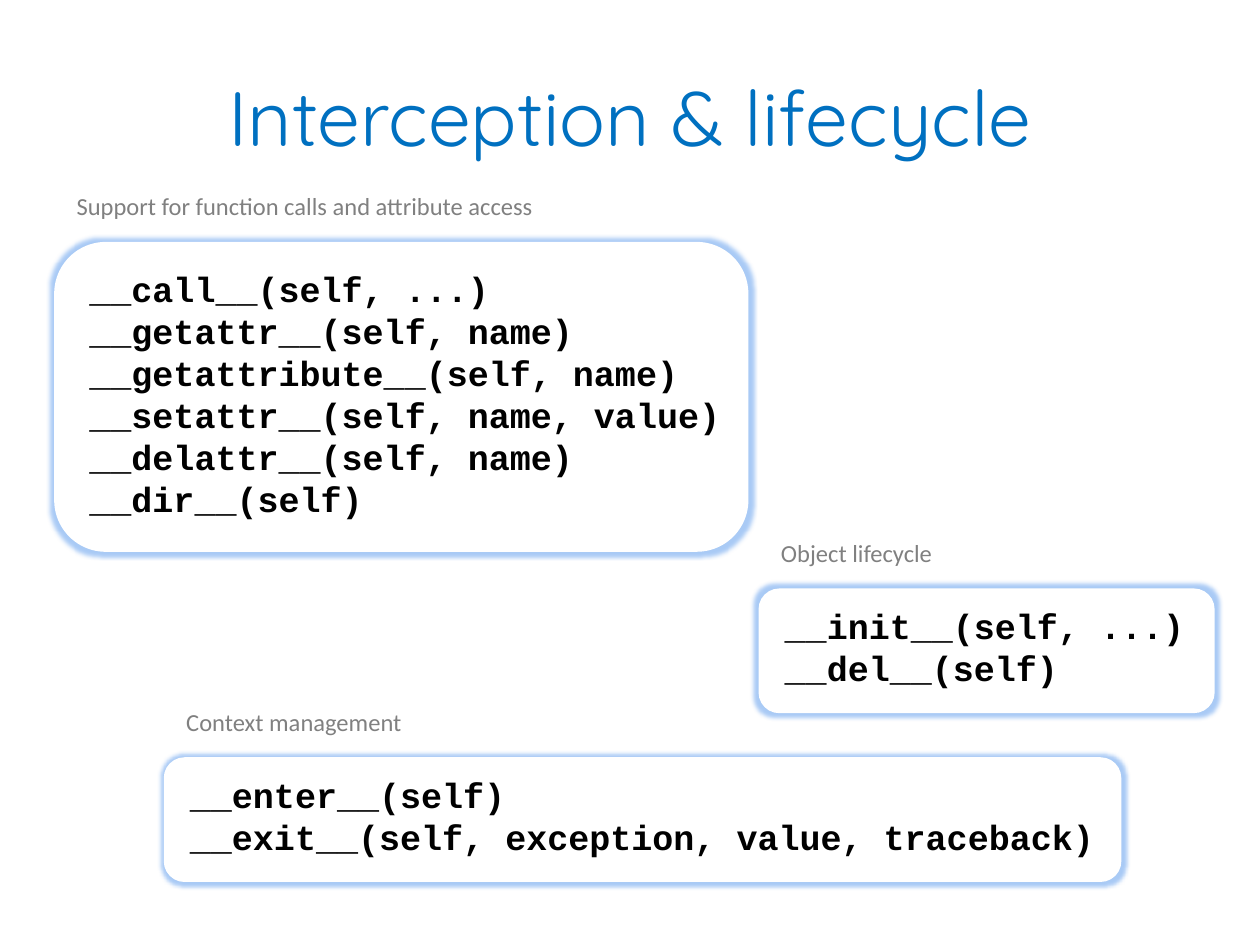
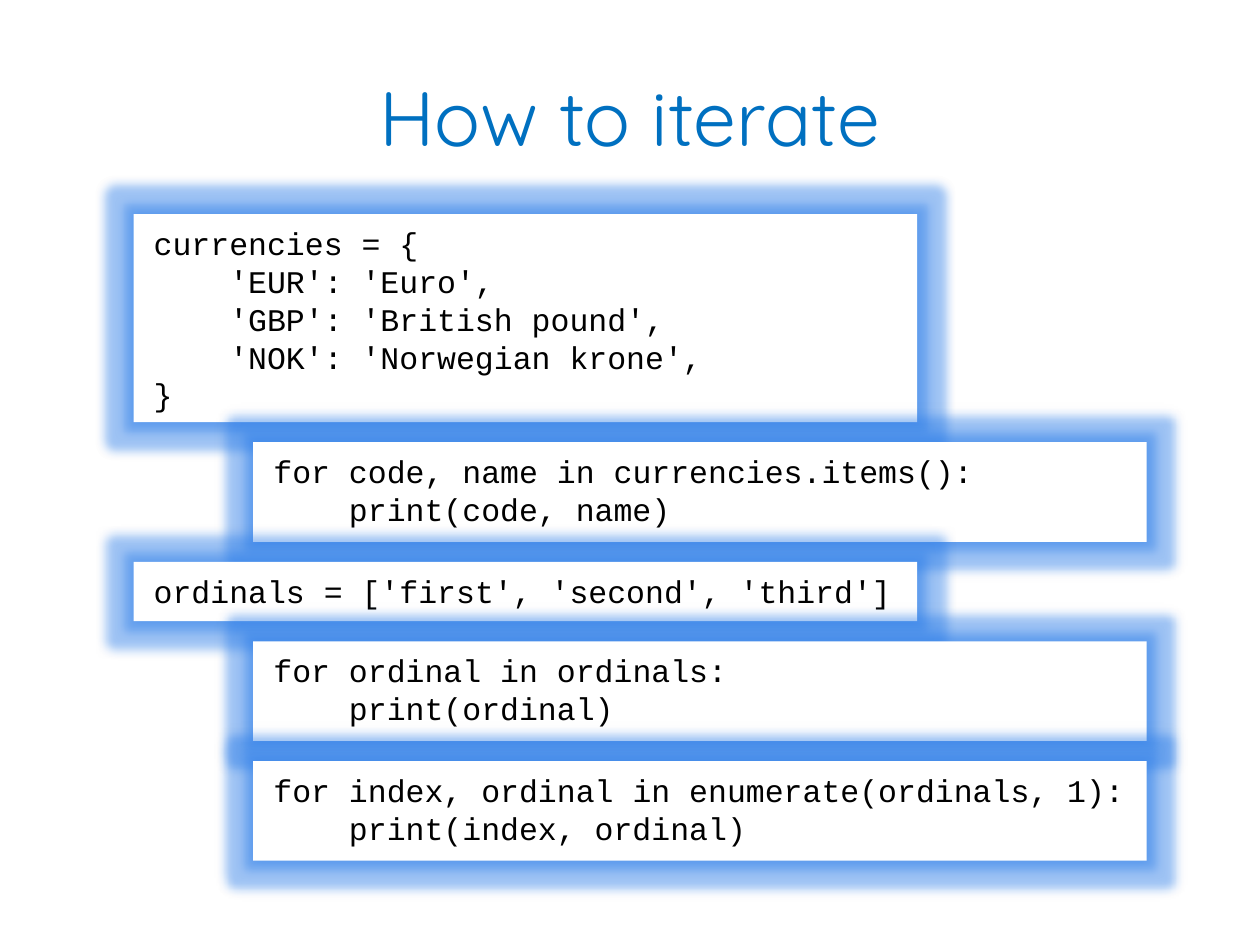
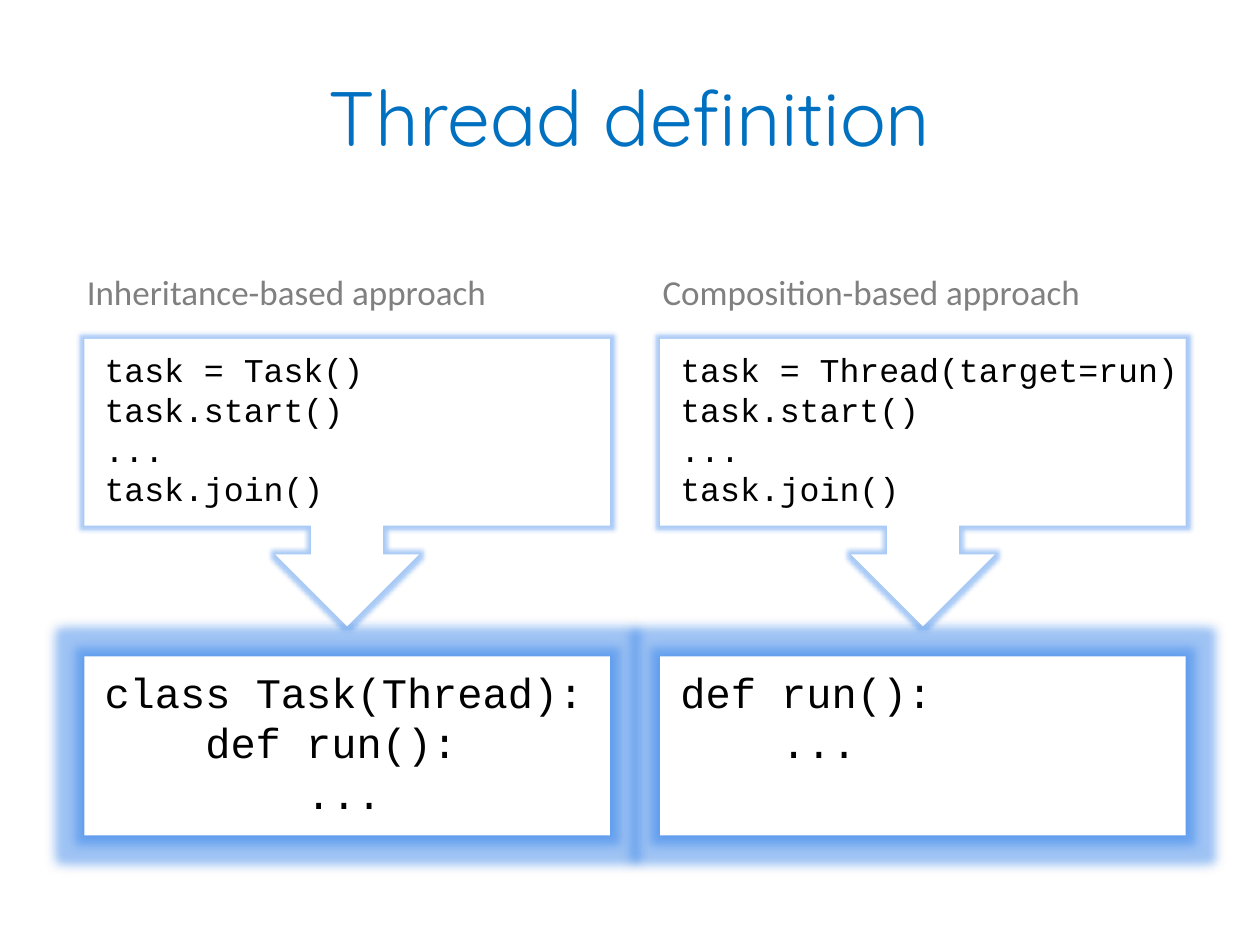
from dataclasses import dataclass

from lxml import etree
from pptx import Presentation
from pptx.dml.color import RGBColor
from pptx.enum.shapes import MSO_SHAPE
from pptx.enum.text import MSO_ANCHOR, MSO_AUTO_SIZE, PP_ALIGN
from pptx.oxml.ns import qn
from pptx.util import Inches, Pt

RECT = MSO_SHAPE.RECTANGLE
ROUND = MSO_SHAPE.ROUNDED_RECTANGLE
CALLOUT = MSO_SHAPE.DOWN_ARROW_CALLOUT
LEFT, CENTER = PP_ALIGN.LEFT, PP_ALIGN.CENTER
TOP, MIDDLE = MSO_ANCHOR.TOP, MSO_ANCHOR.MIDDLE
GROW = MSO_AUTO_SIZE.SHAPE_TO_FIT_TEXT
TITLE_ONLY = 5


@dataclass(frozen=True)
class Theme:
    title_font: str = "Quicksand"
    label_font: str = "Calibri"
    code_font: str = "Courier New"
    title: str = "0070C0"
    label: str = "808080"
    code: str = "000000"
    paper: str = "FFFFFF"
    glow: str = "2A7CE8"
    title_size: int = 44
    note_size: int = 14
    head_size: int = 20
    method_size: int = 20
    loop_size: int = 18
    call_size: int = 19
    def_size: int = 24
    thin: int = 5
    wide: int = 11


THEME = Theme()
CHAR = 0.6  # width of a code character, in ems


def write(para, text, font, size, color, bold=False):
    run = para.add_run()
    run.text = text
    run.font.name = font
    run.font.size = Pt(size)
    run.font.bold = bold
    run.font.color.rgb = RGBColor.from_string(color)


def add_glow(shape, points, deep):
    """Surround a shape with a glow; a deep one is darker at the edge."""
    effects = etree.SubElement(shape._element.spPr, qn("a:effectLst"))
    parts = [etree.SubElement(effects, qn("a:glow"), rad=str(Pt(points)))]
    if deep:
        parts.append(etree.SubElement(
            effects, qn("a:outerShdw"), blurRad=str(Pt(THEME.thin)), dist="0"))
    for part in parts:
        color = etree.SubElement(part, qn("a:srgbClr"), val=THEME.glow)
        etree.SubElement(color, qn("a:alpha"), val="40000")


def add_code(slide, box, lines, size, kind=RECT, bold=False, deep=False, right=0.16):
    """Add a glowing panel of code, turning leading spaces into indents."""
    shape = slide.shapes.add_shape(kind, *map(Inches, box))
    shape.fill.solid()
    shape.fill.fore_color.rgb = RGBColor.from_string(THEME.paper)
    shape.line.fill.background()
    add_glow(shape, THEME.wide if deep else THEME.thin, deep)
    frame = shape.text_frame
    frame.word_wrap = True
    frame.vertical_anchor = TOP
    frame.margin_left, frame.margin_right = Inches(0.16), Inches(right)
    frame.margin_top = frame.margin_bottom = Inches(0.08)
    for i, line in enumerate(lines):
        para = frame.add_paragraph() if i else frame.paragraphs[0]
        para.alignment = LEFT
        text = line.lstrip()
        depth = len(line) - len(text)
        if depth:
            props = para._p.get_or_add_pPr()
            props.set("marL", str(Pt(depth * CHAR * size)))
            props.set("indent", "0")
        write(para, text, THEME.code_font, size, THEME.code, bold)


def add_label(slide, box, text, size, wrap):
    frame = slide.shapes.add_textbox(*map(Inches, box)).text_frame
    frame.word_wrap = wrap
    frame.auto_size = GROW
    write(frame.paragraphs[0], text, THEME.label_font, size, THEME.label)


def add_slide(deck, text):
    slide = deck.slides.add_slide(deck.slide_layouts[TITLE_ONLY])
    title = slide.shapes.title
    title.left, title.top = Inches(0.5), Inches(0.29)
    title.width, title.height = Inches(9), Inches(1.25)
    title.text_frame.vertical_anchor = MIDDLE
    para = title.text_frame.paragraphs[0]
    para.alignment = CENTER
    write(para, text, THEME.title_font, THEME.title_size, THEME.title)
    return slide


def add_group(slide, box, label, width, lines, right=0.16):
    """Add a rounded panel of methods with its label above."""
    left, top = box[:2]
    add_code(slide, box, lines, THEME.method_size, ROUND, bold=True, right=right)
    add_label(slide, (left + 0.08, top - 0.45, width, 0.34), label,
              THEME.note_size, wrap=False)


def method_slide(deck):
    slide = add_slide(deck, "Interception & lifecycle")
    add_group(slide, (0.43, 1.92, 5.51, 2.46),
              "Support for function calls and attribute access", 3.86,
              ["__call__(self, ...)", "__getattr__(self, name)",
               "__getattribute__(self, name)", "__setattr__(self, name, value)",
               "__delattr__(self, name)", "__dir__(self)"], right=0)
    add_group(slide, (6.02, 4.67, 3.62, 0.99), "Object lifecycle", 1.46,
              ["__init__(self, ...)", "__del__(self)"])
    add_group(slide, (1.3, 6.01, 7.6, 0.99), "Context management", 1.93,
              ["__enter__(self)", "__exit__(self, exception, value, traceback)"])


def loop_slide(deck):
    slide = add_slide(deck, "How to iterate")
    data, loop = (1.06, 6.22), (2.01, 7.09)
    stack = [
        (data, 1.65, ["currencies = {", "    'EUR': 'Euro',",
                      "    'GBP': 'British pound',",
                      "    'NOK': 'Norwegian krone',", "}"]),
        (loop, 0.79, ["for code, name in currencies.items():",
                      "    print(code, name)"]),
        (data, 0.47, ["ordinals = ['first', 'second', 'third']"]),
        (loop, 0.79, ["for ordinal in ordinals:", "    print(ordinal)"]),
        (loop, 0.79, ["for index, ordinal in enumerate(ordinals, 1):",
                      "    print(index, ordinal)"]),
    ]
    top, gap = 1.7, 0.16
    for (left, width), height, lines in stack:
        add_code(slide, (left, top, width, height), lines, THEME.loop_size, deep=True)
        top += height + gap


def add_column(slide, box, label, call, body):
    """Add a label, the calling code and, below its arrow, the definition."""
    left, top, width = box
    add_code(slide, (left, top + 3.11, width, 1.42), body, THEME.def_size, deep=True)
    add_code(slide, (left, top + 0.59, width, 2.28),
             [call, "task.start()", "...", "task.join()"],
             THEME.call_size, CALLOUT, right=0)
    add_label(slide, (left - 0.08, top, width - 0.08, 0.44), label,
              THEME.head_size, wrap=True)


def thread_slide(deck):
    slide = add_slide(deck, "Thread definition")
    columns = [
        ("Inheritance-based approach", "task = Task()",
         ["class Task(Thread):", "    def run():", "        ..."]),
        ("Composition-based approach", "task = Thread(target=run)",
         ["def run():", "    ..."]),
    ]
    for i, column in enumerate(columns):
        add_column(slide, (0.67 + i * 4.57, 2.1, 4.17), *column)


def main():
    deck = Presentation()
    deck.slide_width, deck.slide_height = Inches(10), Inches(7.5)
    method_slide(deck)
    loop_slide(deck)
    thread_slide(deck)
    deck.save("out.pptx")


if __name__ == "__main__":
    main()
